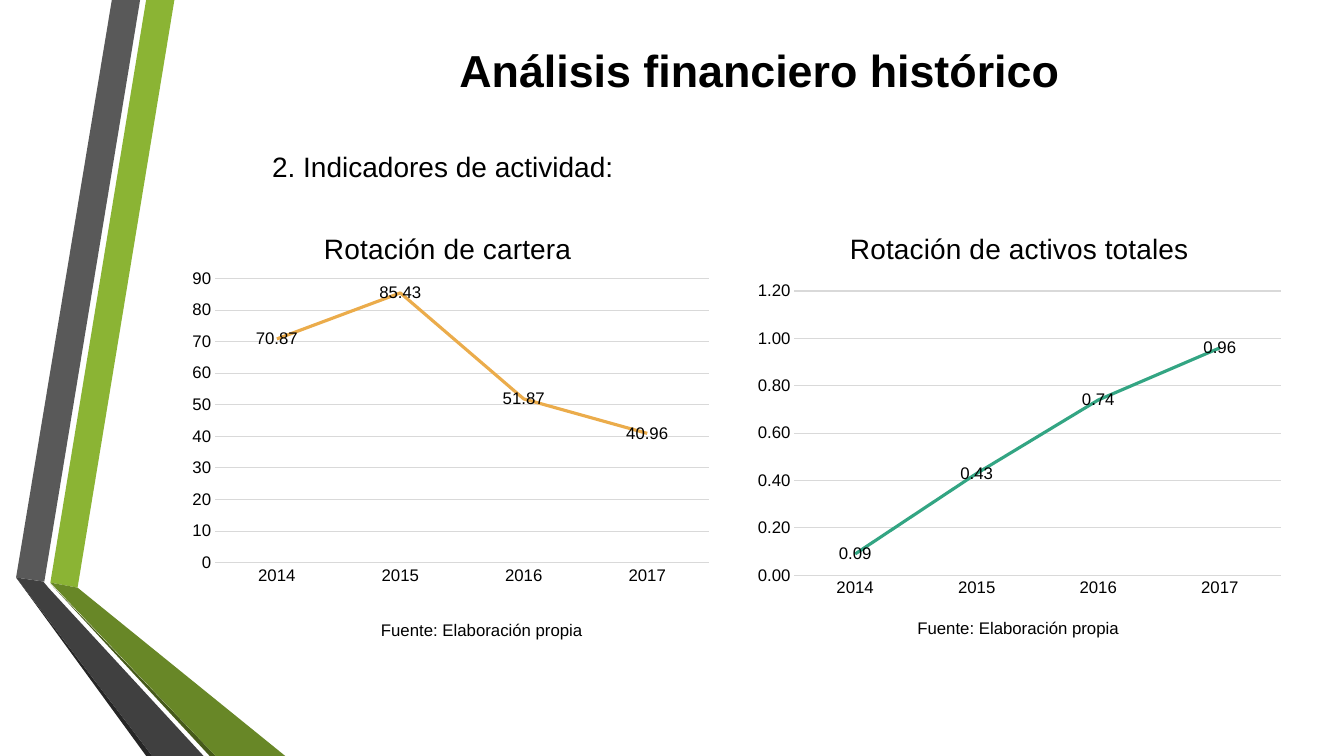
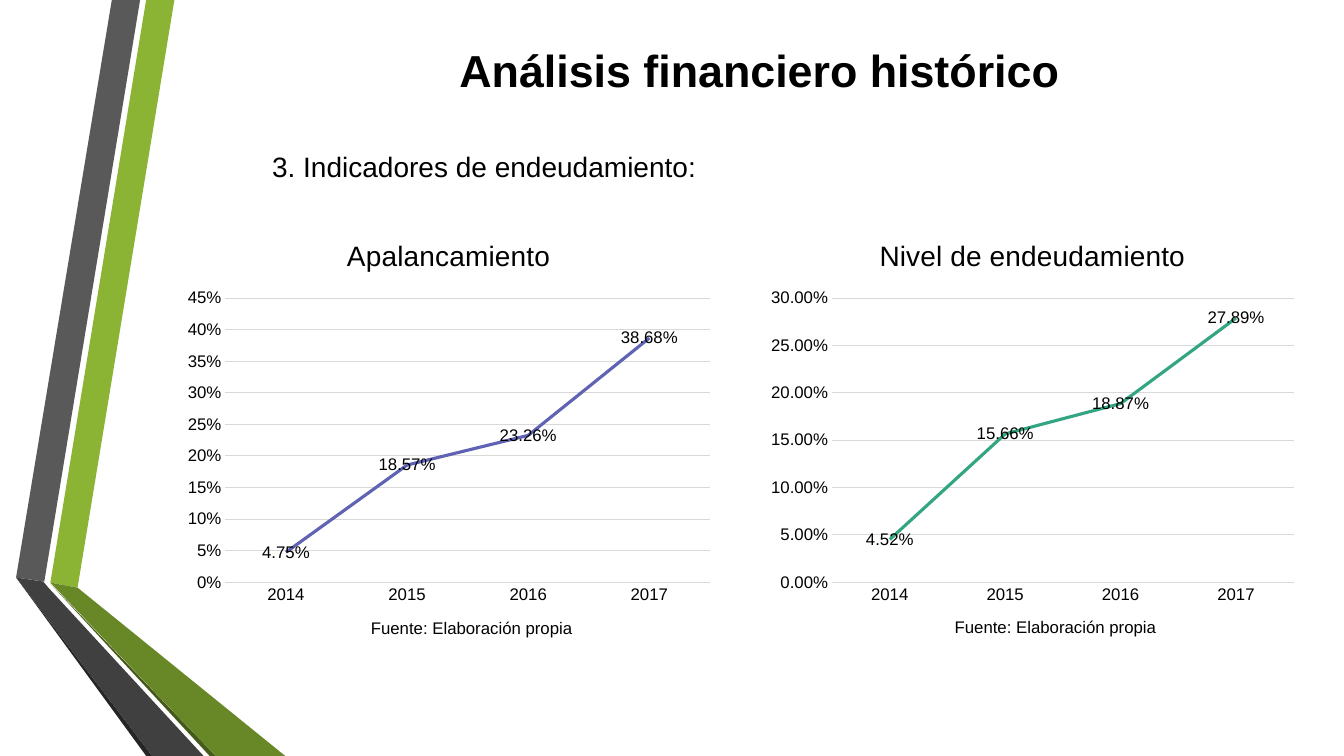
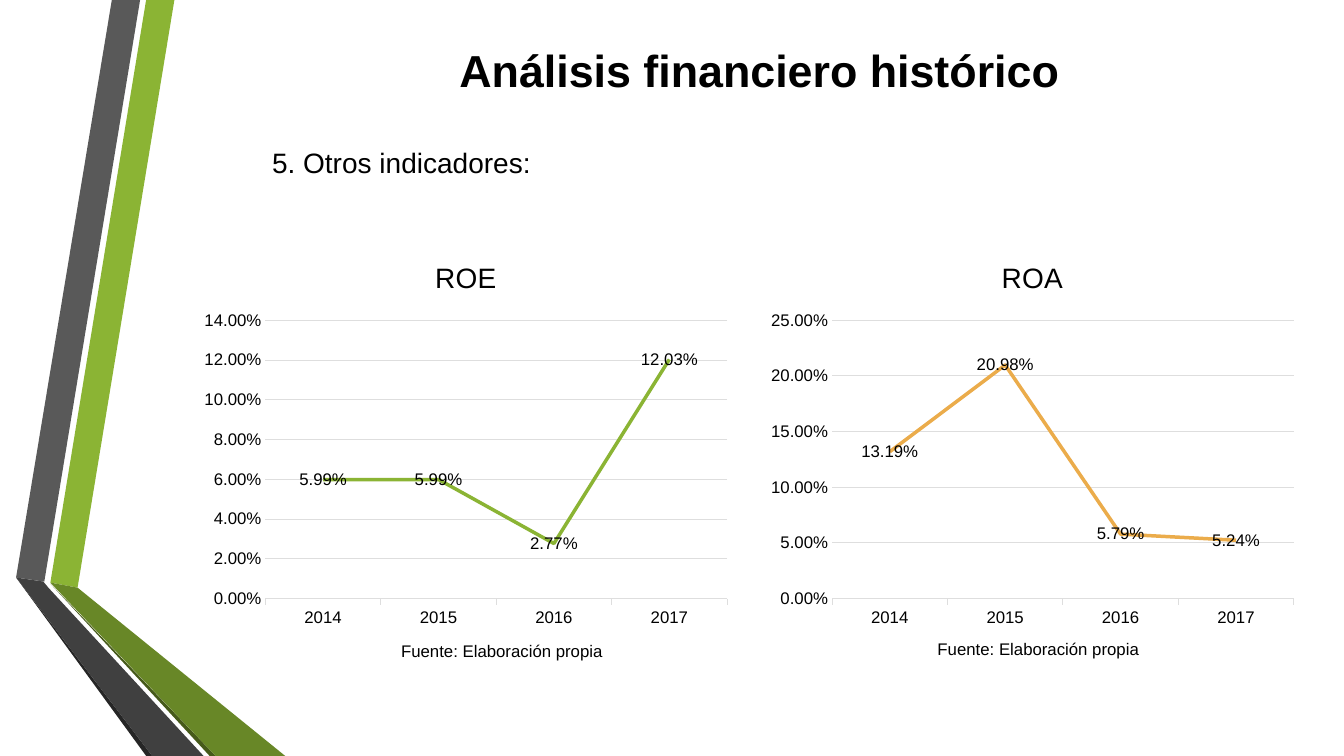
from dataclasses import dataclass

from lxml import etree
from pptx import Presentation
from pptx.chart.data import CategoryChartData
from pptx.dml.color import RGBColor
from pptx.enum.chart import XL_CHART_TYPE, XL_LABEL_POSITION, XL_TICK_MARK
from pptx.enum.text import MSO_ANCHOR, PP_ALIGN
from pptx.oxml.ns import qn
from pptx.util import Inches, Pt

LINE_CHART = XL_CHART_TYPE.LINE
LABEL_CENTER = XL_LABEL_POSITION.CENTER
TICK_NONE, TICK_OUT = XL_TICK_MARK.NONE, XL_TICK_MARK.OUTSIDE
CENTER, LEFT = PP_ALIGN.CENTER, PP_ALIGN.LEFT
MIDDLE = MSO_ANCHOR.MIDDLE


@dataclass(frozen=True)
class Theme:
    font: str = "Arial"
    text: str = "000000"
    green: str = "8BB434"
    teal: str = "33A583"
    orange: str = "EBAC4B"
    violet: str = "6063B4"
    title_size: int = 32
    heading_size: int = 20
    small_size: int = 12
    hairline: float = 0.75


THEME = Theme()
SLIDE_WIDTH, SLIDE_HEIGHT = 13.33, 7.5
TITLE_BOX = (1.74, 0.21, 11.59, 0.96)
SUBTITLE_LEFT, SUBTITLE_SIZE = 2.6, (6, 0.44)
CHART_SIZE = (5.4, 3.89)
SOURCE_SIZE = (2.4, 0.3)
PLOT_RIGHT = 0.98
YEARS = ("2014", "2015", "2016", "2017")

TITLE = "Análisis financiero histórico"
SOURCE = "Fuente: Elaboración propia"

RIBBON_UNIT = Inches(0.01)
RIBBONS = [
    (THEME.green, [(50, 578), (77, 583), (173, 0), (145, 0)]),
    ("595959", [(139, 0), (111, 0), (16, 573), (44, 577)]),
    ("262626", [(16, 573), (145, 750), (151, 750)]),
    ("465A1A", [(50, 579), (208, 750), (214, 750)]),
    ("688727", [(50, 578), (214, 750), (283, 750), (77, 583)]),
    ("404040", [(202, 750), (48, 583), (43, 577), (16, 573), (151, 750)]),
]

SLIDES = [
    dict(
        subtitle="2. Indicadores de actividad:", subtitle_top=1.43, chart_top=2.11,
        plot_height=0.725, grid="D9D9D9", line_width=2.25, tick=TICK_NONE,
        charts=[
            dict(title="Rotación de cartera", left=1.74, color=THEME.orange,
                 values=(70.87, 85.43, 51.87, 40.96), top_value=90, step=10,
                 axis_format="0", label_format="0.00", plot_left=0.073,
                 plot_top=0.168, source=(3.68, 6.1)),
            dict(title="Rotación de activos totales", left=7.41, color=THEME.teal,
                 values=(0.09, 0.43, 0.74, 0.96), top_value=1.2, step=0.2,
                 axis_format="0.00", label_format="0.00", plot_left=0.087,
                 plot_top=0.2, source=(9, 6.08)),
        ],
    ),
    dict(
        subtitle="3. Indicadores de endeudamiento:", subtitle_top=1.43, chart_top=2.18,
        plot_height=0.725, grid="D9D9D9", line_width=2.25, tick=TICK_NONE,
        charts=[
            dict(title="Apalancamiento", left=1.75, color=THEME.violet,
                 values=(0.0475, 0.1857, 0.2326, 0.3868), top_value=0.45, step=0.05,
                 axis_format="0%", label_format="0.00%", plot_left=0.09,
                 plot_top=0.2, source=(3.58, 6.08)),
            dict(title="Nivel de endeudamiento", left=7.54, color=THEME.teal,
                 values=(0.0452, 0.1566, 0.1887, 0.2789), top_value=0.3, step=0.05,
                 axis_format="0.00%", label_format="0.00%", plot_left=0.132,
                 plot_top=0.2, source=(9.37, 6.07)),
        ],
    ),
    dict(
        subtitle="5. Otros indicadores:", subtitle_top=1.39, chart_top=2.4,
        plot_height=0.71, grid="DEDEDE", line_width=2.5, tick=TICK_OUT,
        charts=[
            dict(title="ROE", left=1.92, color=THEME.green,
                 values=(0.0599, 0.0599, 0.0277, 0.1203), top_value=0.14, step=0.02,
                 axis_format="0.00%", label_format="0.00%", plot_left=0.132,
                 plot_top=0.2, source=(3.88, 6.31)),
            dict(title="ROA", left=7.54, color=THEME.orange,
                 values=(0.1319, 0.2098, 0.0579, 0.0524), top_value=0.25, step=0.05,
                 axis_format="0.00%", label_format="0.00%", plot_left=0.132,
                 plot_top=0.2, source=(9.2, 6.29)),
        ],
    ),
]


def rgb(color):
    return RGBColor.from_string(color)


def style_font(font, size, bold=False):
    font.name = THEME.font
    font.size = Pt(size)
    font.bold = bold
    font.color.rgb = rgb(THEME.text)


def style_line(line, color, width):
    line.color.rgb = rgb(color)
    line.width = Pt(width)


def write(text_frame, text, size, alignment=LEFT, bold=False):
    text_frame.text = text
    paragraph = text_frame.paragraphs[0]
    paragraph.alignment = alignment
    style_font(paragraph.runs[0].font, size, bold)


def add_label(slide, text, position, box_size, size):
    box = slide.shapes.add_textbox(*map(Inches, position + box_size))
    box.text_frame.word_wrap = True
    write(box.text_frame, text, size)


def prepare_layout(presentation):
    layout = presentation.slide_layouts.get_by_name("Title Only")
    title = layout.placeholders[0]
    title.left, title.top, title.width, title.height = map(Inches, TITLE_BOX)
    title.text_frame.vertical_anchor = MIDDLE
    return layout


def move_ribbons_to_layout(slide, layout):
    for index, (color, points) in enumerate(RIBBONS):
        builder = slide.shapes.build_freeform(*points[0], scale=RIBBON_UNIT)
        builder.add_line_segments(points[1:], close=True)
        ribbon = builder.convert_to_shape()
        ribbon.shadow.inherit = False
        ribbon.fill.solid()
        ribbon.fill.fore_color.rgb = rgb(color)
        ribbon.line.fill.background()
        ribbon.element.nvSpPr.cNvPr.set("id", str(100 + index))
        layout.shapes._spTree.insert(2 + index, ribbon.element)


def place_plot(chart, left, top, height):
    plot_area = chart._chartSpace.chart.plotArea
    for layout in plot_area.findall(qn("c:layout")):
        plot_area.remove(layout)
    layout = etree.Element(qn("c:layout"))
    manual = etree.SubElement(layout, qn("c:manualLayout"))
    settings = dict(layoutTarget="inner", xMode="edge", yMode="edge",
                    x=left, y=top, w=round(PLOT_RIGHT - left, 3), h=height)
    for name, value in settings.items():
        etree.SubElement(manual, qn(f"c:{name}")).set("val", str(value))
    plot_area.insert(0, layout)


def add_line_chart(slide, page, item):
    data = CategoryChartData(number_format=item["label_format"])
    data.categories = YEARS
    data.add_series(item["title"], item["values"])
    position = (item["left"], page["chart_top"])
    chart = slide.shapes.add_chart(
        LINE_CHART, *map(Inches, position + CHART_SIZE), data).chart
    style_font(chart.font, THEME.small_size)
    chart.has_legend = False
    chart.has_title = True
    write(chart.chart_title.text_frame, item["title"], THEME.heading_size, CENTER)
    chart.chart_title.include_in_layout = False
    place_plot(chart, item["plot_left"], item["plot_top"], page["plot_height"])

    category_axis, value_axis = chart.category_axis, chart.value_axis
    for axis, tick in ((category_axis, page["tick"]), (value_axis, TICK_NONE)):
        axis.major_tick_mark = tick
        axis.minor_tick_mark = TICK_NONE
        style_font(axis.tick_labels.font, THEME.small_size)
    category_axis.has_major_gridlines = False
    style_line(category_axis.format.line, page["grid"], THEME.hairline)
    value_axis.minimum_scale = 0
    value_axis.maximum_scale = item["top_value"]
    value_axis.major_unit = item["step"]
    value_axis.format.line.fill.background()
    value_axis.has_major_gridlines = True
    style_line(value_axis.major_gridlines.format.line, page["grid"], THEME.hairline)
    value_axis.tick_labels.number_format = item["axis_format"]
    value_axis.tick_labels.number_format_is_linked = False

    plot = chart.plots[0]
    plot.vary_by_categories = False
    series = plot.series[0]
    series.smooth = False
    style_line(series.format.line, item["color"], page["line_width"])
    plot.has_data_labels = True
    labels = plot.data_labels
    labels.show_value = True
    labels.position = LABEL_CENTER
    labels.number_format = item["label_format"]
    labels.number_format_is_linked = False
    style_font(labels.font, THEME.small_size)


def main():
    presentation = Presentation()
    presentation.slide_width = Inches(SLIDE_WIDTH)
    presentation.slide_height = Inches(SLIDE_HEIGHT)
    layout = prepare_layout(presentation)
    for page in SLIDES:
        slide = presentation.slides.add_slide(layout)
        write(slide.shapes.title.text_frame, TITLE, THEME.title_size, CENTER, True)
        add_label(slide, page["subtitle"], (SUBTITLE_LEFT, page["subtitle_top"]),
                  SUBTITLE_SIZE, THEME.heading_size)
        for item in page["charts"]:
            add_line_chart(slide, page, item)
            add_label(slide, SOURCE, item["source"], SOURCE_SIZE, THEME.small_size)
    move_ribbons_to_layout(presentation.slides[0], layout)
    presentation.save("out.pptx")


if __name__ == "__main__":
    main()
